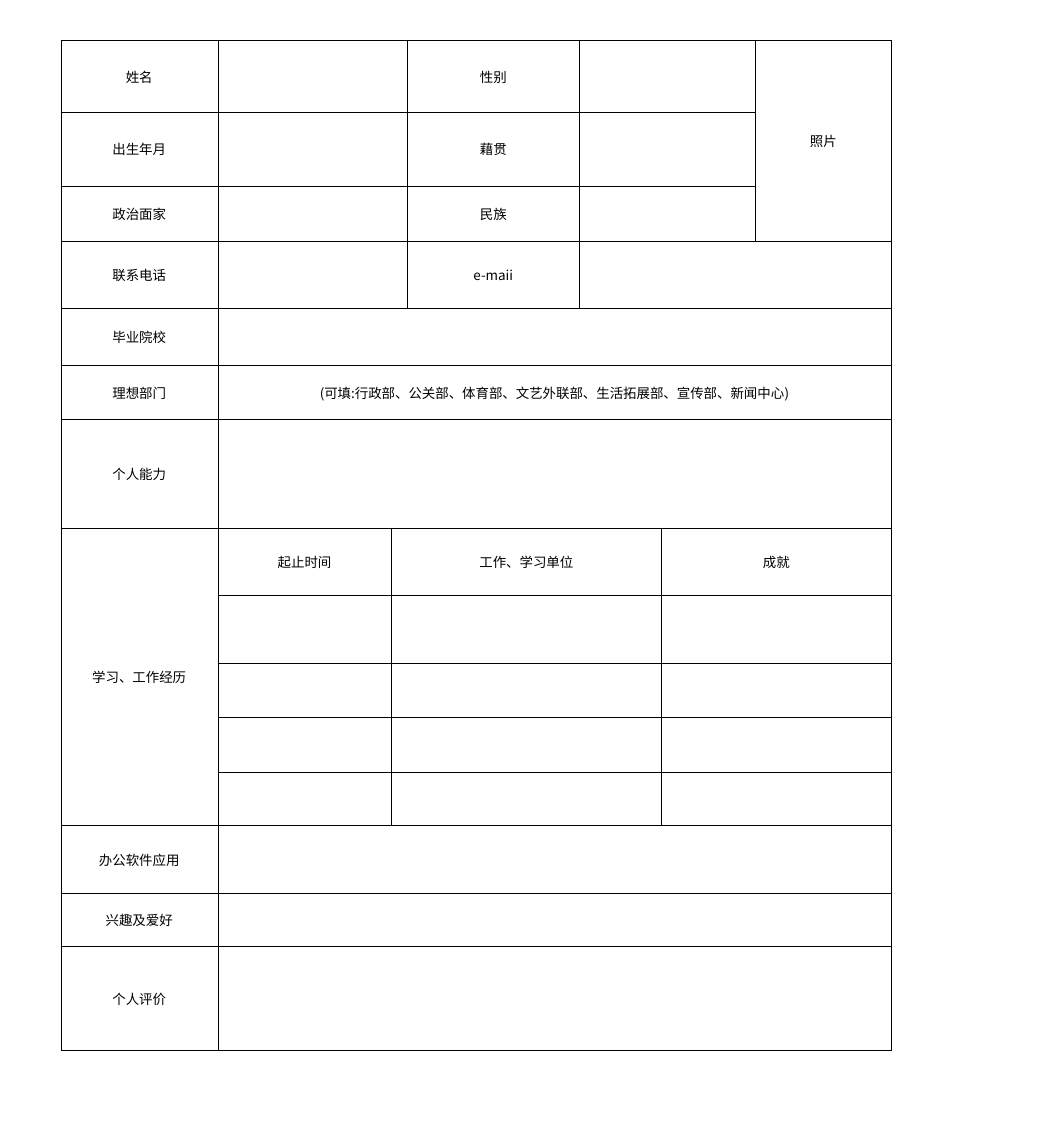
from lxml import etree
from pptx import Presentation
from pptx.dml.color import RGBColor
from pptx.enum.text import MSO_ANCHOR, PP_ALIGN
from pptx.oxml.ns import qn
from pptx.util import Inches, Pt

CENTER = PP_ALIGN.CENTER
MIDDLE = MSO_ANCHOR.MIDDLE
COLORS = {"ink": "000000", "paper": "FFFFFF"}
FONT = "Noto Sans CJK SC"
SIZE = Pt(24.9)
RULE = Pt(0.75)
COLS = [4.03, 4.46, 0.4, 4.43, 2.1, 2.42, 3.48]
HEIGHTS = [1.84, 1.9, 1.41, 1.73, 1.47, 1.38, 2.79, 1.73,
           1.73, 1.41, 1.41, 1.35, 1.76, 1.35, 2.68]

BASIC = [1, 2, 1, 2, 1]
MAIL = [1, 2, 1, 3]
WIDE = [1, 6]
PAST = [1, 1, 3, 2]
DEPTS = "(可填:行政部、公关部、体育部、文艺外联部、生活拓展部、宣传部、新闻中心)"
ROWS = [
    (BASIC, ["姓名", "", "性别", "", "照片"]),
    (BASIC, ["出生年月", "", "藉贯"]),
    (BASIC, ["政治面家", "", "民族"]),
    (MAIL, ["联系电话", "", "e-maii"]),
    (WIDE, ["毕业院校"]),
    (WIDE, ["理想部门", DEPTS]),
    (WIDE, ["个人能力"]),
    (PAST, ["学习、工作经历", "起止时间", "工作、学习单位", "成就"]),
    *[(PAST, [])] * 4,
    (WIDE, ["办公软件应用"]),
    (WIDE, ["兴趣及爱好"]),
    (WIDE, ["个人评价"]),
]
TALL = [(0, 6, 2), (7, 0, 11)]


def add_rules(cell):
    props = cell._tc.get_or_add_tcPr()
    for i, side in enumerate(("lnL", "lnR", "lnT", "lnB")):
        line = etree.Element(qn("a:" + side), w=str(RULE))
        fill = etree.SubElement(line, qn("a:solidFill"))
        etree.SubElement(fill, qn("a:srgbClr"), val=COLORS["ink"])
        props.insert(i, line)


def style_cell(cell):
    cell.fill.solid()
    cell.fill.fore_color.rgb = RGBColor.from_string(COLORS["paper"])
    cell.vertical_anchor = MIDDLE
    add_rules(cell)


def write_cell(cell, text):
    para = cell.text_frame.paragraphs[0]
    para.text = text
    para.alignment = CENTER
    font = para.font
    font.name = FONT
    font.size = SIZE
    font.color.rgb = RGBColor.from_string(COLORS["ink"])
    etree.SubElement(font._element, qn("a:ea"), typeface=FONT)


def add_form(slide, left, top, width, height):
    table = slide.shapes.add_table(
        len(ROWS), len(COLS), Inches(left), Inches(top),
        Inches(width), Inches(height)).table
    table.first_row = False
    table.horz_banding = False
    for col, size in zip(table.columns, COLS):
        col.width = Inches(size * width / sum(COLS))
    for row, size in zip(table.rows, HEIGHTS):
        row.height = Inches(size * height / sum(HEIGHTS))
    for cell in table.iter_cells():
        style_cell(cell)
    for r, (spans, texts) in enumerate(ROWS):
        start = 0
        for i, span in enumerate(spans):
            cell = table.cell(r, start)
            if span > 1:
                cell.merge(table.cell(r, start + span - 1))
            if i < len(texts) and texts[i]:
                write_cell(cell, texts[i])
            start += span
    for first, col, last in TALL:
        table.cell(first, col).merge(table.cell(last, col))


def main():
    deck = Presentation()
    deck.slide_width = Inches(26.67)
    deck.slide_height = Inches(29.49)
    slide = deck.slides.add_slide(deck.slide_layouts[6])
    add_form(slide, 1.56, 1.04, 21.34, 25.95)
    deck.save("out.pptx")


if __name__ == "__main__":
    main()
